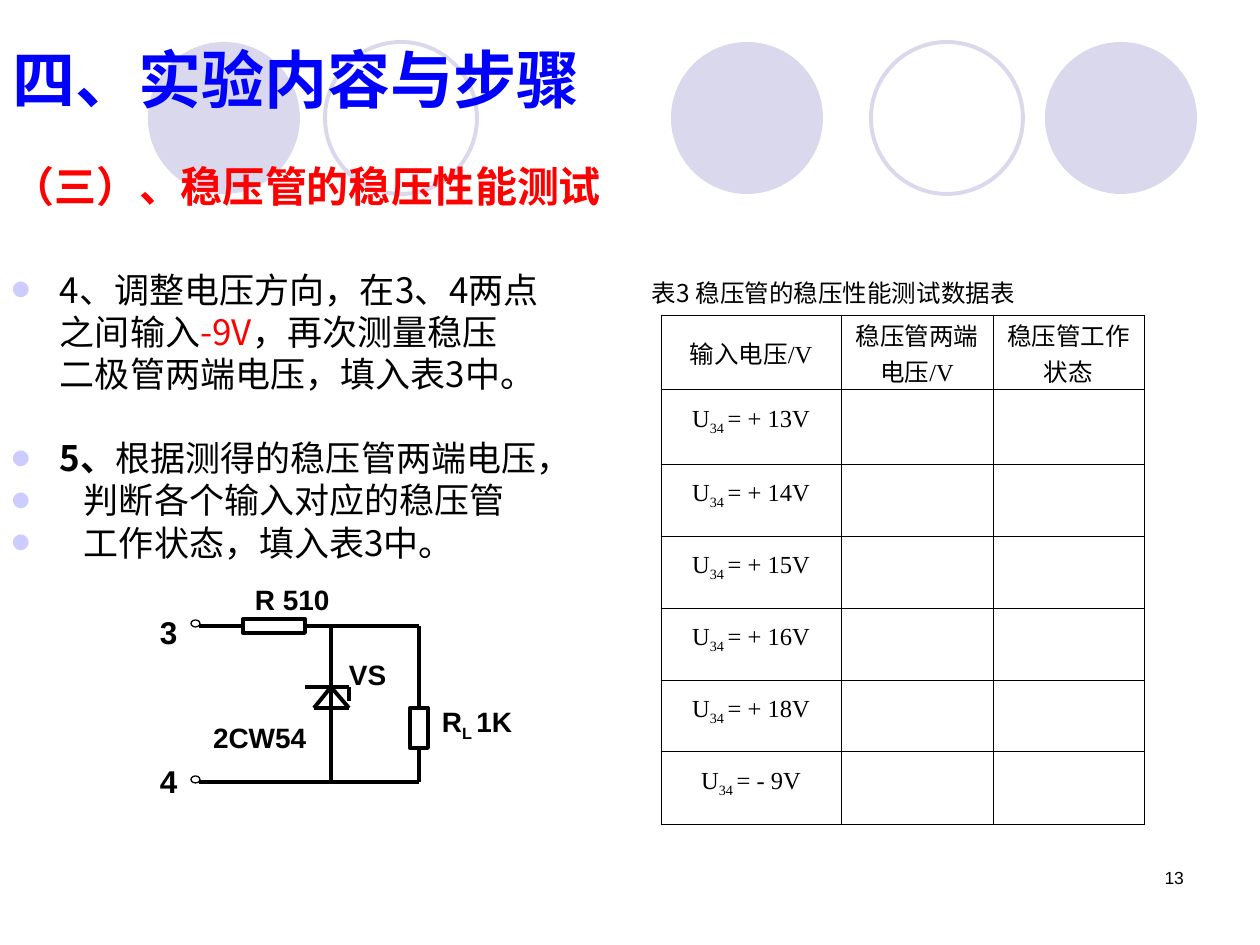
from lxml.etree import SubElement
from pptx import Presentation
from pptx.dml.color import RGBColor
from pptx.enum.shapes import MSO_CONNECTOR, MSO_SHAPE
from pptx.enum.text import MSO_ANCHOR, PP_ALIGN
from pptx.oxml.ns import qn
from pptx.util import Emu, Pt

BLACK = RGBColor(0, 0, 0)
WHITE = RGBColor(255, 255, 255)
BLUE = RGBColor(0, 0, 255)
RED = RGBColor(255, 0, 0)
LAVENDER = RGBColor(0xD9, 0xD8, 0xEC)
BULLET = RGBColor(0xCC, 0xCC, 0xFF)
SANS, CJK, SERIF = "Arial", "Noto Sans CJK SC", "Times New Roman"


def px(length):
    return Emu(round(length * 914400 / 126))


def style(paragraph, size, color=BLACK, bold=False, name=CJK):
    font = paragraph.font
    font.size, font.bold, font.name = Pt(size), bold, name
    font.color.rgb = color


def add_run(paragraph, text, baseline=None):
    run = paragraph.add_run()
    run.text = text
    if baseline:
        run.font._element.set("baseline", str(baseline))
    return run


def add_text_frame(slide, left, top, width, height, wrap=True):
    frame = slide.shapes.add_textbox(px(left), px(top), px(width), px(height)).text_frame
    frame.margin_left = frame.margin_right = frame.margin_top = frame.margin_bottom = 0
    frame.word_wrap = wrap
    return frame


def add_text(slide, box, text, size, color=BLACK, bold=False, name=CJK):
    frame = add_text_frame(slide, *box)
    paragraph = frame.paragraphs[0]
    add_run(paragraph, text)
    style(paragraph, size, color, bold, name)
    return frame


def add_shape(slide, kind, box, fill=None, line=None, weight=2.25):
    shape = slide.shapes.add_shape(kind, *map(px, box))
    shape.shadow.inherit = False
    if fill is None:
        shape.fill.background()
    else:
        shape.fill.solid()
        shape.fill.fore_color.rgb = fill
    if line is None:
        shape.line.fill.background()
    else:
        shape.line.color.rgb = line
        shape.line.width = Pt(weight)


def add_line(slide, start, end):
    line = slide.shapes.add_connector(MSO_CONNECTOR.STRAIGHT, *map(px, start + end))
    line.line.color.rgb = BLACK
    line.line.width = Pt(2.25)
    SubElement(line._element.spPr, qn("a:effectLst"))


def draw_circles(slide, top, size):
    for left in (671, 1045, 148):
        add_shape(slide, MSO_SHAPE.OVAL, (left, top, size, size), fill=LAVENDER)
    for left in (871, 325):
        add_shape(slide, MSO_SHAPE.OVAL, (left, top, size, size), line=LAVENDER)


def draw_headings(slide, left, top, width):
    title = add_text(slide, (left, top, width, 157), "四、实验内容与步骤", 36, BLUE, True, SANS)
    title.vertical_anchor = MSO_ANCHOR.MIDDLE
    add_text(slide, (left, top + 161, width, 61), "（三）、稳压管的稳压性能测试", 24, RED, True)


def add_bullet(paragraph, indent):
    properties = paragraph._p.get_or_add_pPr()
    properties.set("marL", str(px(indent)))
    properties.set("indent", str(-px(indent)))
    color = SubElement(properties, qn("a:buClr"))
    SubElement(color, qn("a:srgbClr"), val=str(BULLET))
    SubElement(properties, qn("a:buSzPct"), val="50000")
    SubElement(properties, qn("a:buFont"), typeface=CJK)
    SubElement(properties, qn("a:buChar"), char="●")


def draw_steps(slide, left, top, width):
    frame = add_text_frame(slide, left, top, width, 296)
    steps = [
        (47, 0, ["4、调整电压方向，在3、4两点\v之间输入", "-9V",
                 "，再次测量稳压\v二极管两端电压，填入表3中。"]),
        (47, 24, ["5、", "根据测得的稳压管两端电压，"]),
        (71, 0, ["判断各个输入对应的稳压管"]),
        (71, 0, ["工作状态，填入表3中。"]),
    ]
    for index, (indent, space, parts) in enumerate(steps):
        paragraph = frame.paragraphs[0] if index == 0 else frame.add_paragraph()
        add_bullet(paragraph, indent)
        paragraph.line_spacing = Pt(24.1)
        paragraph.space_before = Pt(space)
        for part in parts:
            for number, text in enumerate(part.split("\v")):
                if number:
                    paragraph.add_line_break()
                run = add_run(paragraph, text)
                if text == "-9V":
                    run.font.color.rgb = RED
                elif text == "5、":
                    run.font.bold = True
        style(paragraph, 20)


def draw_circuit(slide, left, top):
    def at(x, y):
        return left + x, top + y

    wires = [
        [(272, 171), (272, 205), (52, 205)],
        [(272, 131), (272, 49), (158, 49)],
        [(96, 49), (52, 49)],
        [(184, 49), (184, 205)],
        [(184, 110), (167, 131), (202, 131), (184, 110)],
        [(158, 110), (202, 110), (202, 124)],
    ]
    for points in wires:
        for start, end in zip(points, points[1:]):
            add_line(slide, at(*start), at(*end))
    for x, y, width, height in ((263, 131, 18, 40), (96, 42, 62, 14)):
        add_shape(slide, MSO_SHAPE.RECTANGLE, (*at(x, y), width, height), WHITE, BLACK)
    for y in (43, 199):
        add_shape(slide, MSO_SHAPE.OVAL, (*at(44, y), 9, 7), line=BLACK, weight=0.75)
    labels = [
        ("3", 13, 36, 30, 18), ("4", 13, 185, 30, 18), ("R 510", 108, 6, 110, 16),
        ("VS", 202, 81, 60, 16), ("2CW54", 66, 144, 110, 16),
    ]
    for text, x, y, width, size in labels:
        add_text(slide, (*at(x, y), width, 36), text, size, bold=True, name=SANS)
    load = add_text(slide, (*at(295, 128), 110, 36), "R", 16, bold=True, name=SANS)
    add_run(load.paragraphs[0], "L ", -25000)
    add_run(load.paragraphs[0], "1K")


def set_borders(cell):
    properties = cell._tc.get_or_add_tcPr()
    for index, side in enumerate(("a:lnL", "a:lnR", "a:lnT", "a:lnB")):
        border = properties.makeelement(qn(side), {"w": str(Pt(0.45))})
        fill = SubElement(border, qn("a:solidFill"))
        SubElement(fill, qn("a:srgbClr"), val=str(BLACK))
        properties.insert(index, border)


def draw_table(slide, left, top):
    add_text(slide, (left - 9, top - 37, 480, 36), "表3 稳压管的稳压性能测试数据表", 14)
    widths, heights = [180, 152, 151], [74, 75, 72, 72, 72, 72, 73]
    table = slide.shapes.add_table(
        len(heights), len(widths), px(left), px(top), px(sum(widths)), px(sum(heights))
    ).table
    table.first_row = table.horz_banding = False
    for column, width in zip(table.columns, widths):
        column.width = px(width)
    for row, height in zip(table.rows, heights):
        row.height = px(height)
    for cell in table.iter_cells():
        cell.fill.background()
        cell.vertical_anchor = MSO_ANCHOR.MIDDLE
        cell.margin_left = cell.margin_right = px(10)
        set_borders(cell)
        paragraph = cell.text_frame.paragraphs[0]
        paragraph.alignment = PP_ALIGN.CENTER
        style(paragraph, 14, name=SERIF)
    for column, text in enumerate(("输入电压/V", "稳压管两端电压/V", "稳压管工作状态")):
        cell = table.cell(0, column)
        cell.margin_top, cell.margin_bottom = px(2), 0
        add_run(cell.text_frame.paragraphs[0], text)
    for row, voltage in enumerate(("+ 13V", "+ 14V", "+ 15V", "+ 16V", "+ 18V", "- 9V"), 1):
        paragraph = table.cell(row, 0).text_frame.paragraphs[0]
        paragraph.line_spacing = Pt(12)
        add_run(paragraph, "U")
        add_run(paragraph, "34 ", -25000)
        add_run(paragraph, "= " + voltage)


def main():
    presentation = Presentation()
    presentation.slide_width, presentation.slide_height = px(1260), px(945)
    slide = presentation.slides.add_slide(presentation.slide_layouts[6])
    draw_circles(slide, 42, 152)
    draw_headings(slide, 13, 0, 1100)
    draw_steps(slide, 13, 268, 620)
    draw_circuit(slide, 147, 577)
    draw_table(slide, 661, 315)
    number = add_text(slide, (904, 867, 280, 30), "13", 10, name=SANS)
    number.paragraphs[0].alignment = PP_ALIGN.RIGHT
    presentation.save("out.pptx")


if __name__ == "__main__":
    main()
